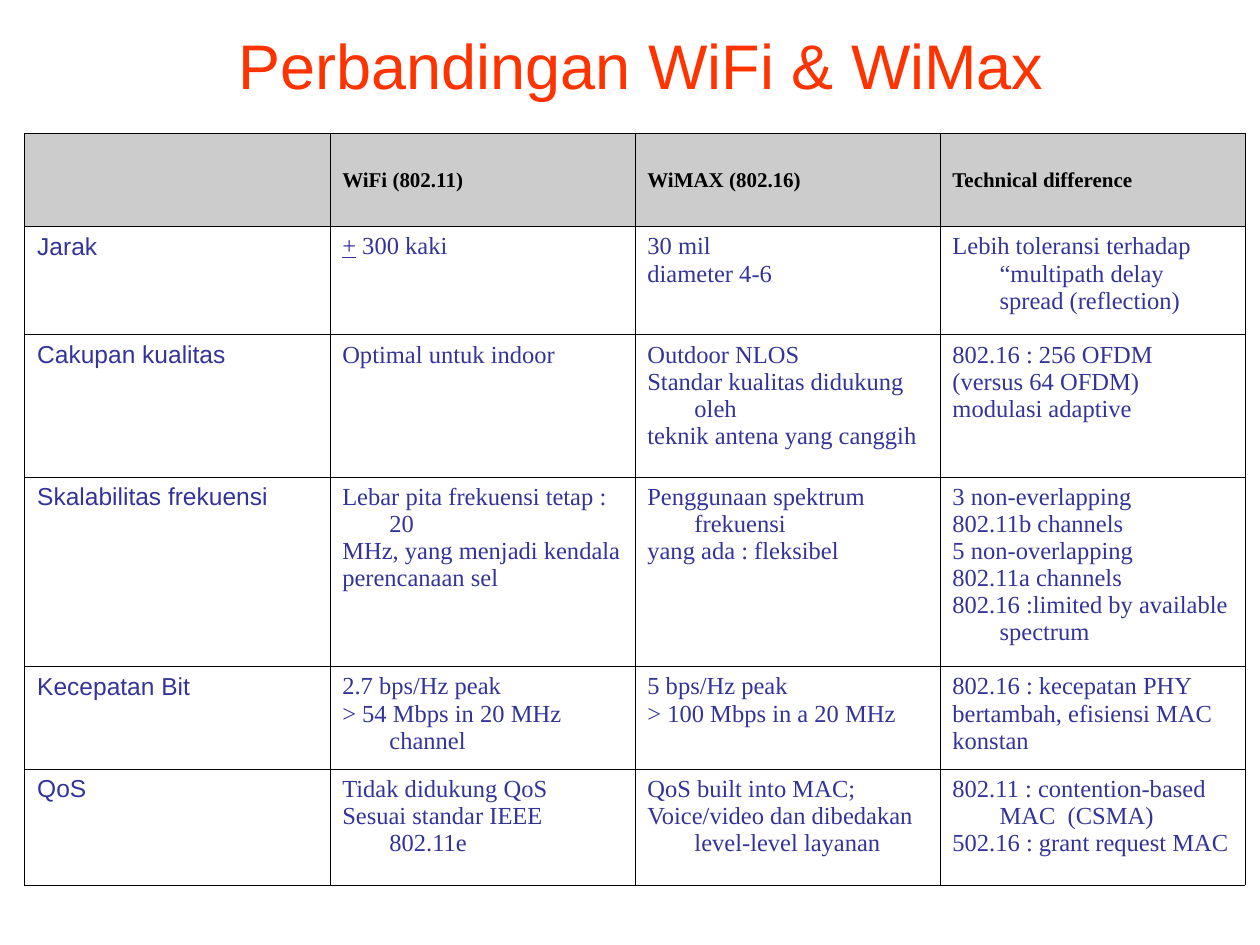
from dataclasses import dataclass

from lxml import etree
from pptx import Presentation
from pptx import util as u
from pptx.dml.color import RGBColor
from pptx.enum import text
from pptx.oxml import ns


@dataclass(frozen=True)
class Theme:
    title_color: RGBColor = RGBColor.from_string("FF3300")
    header_color: RGBColor = RGBColor.from_string("000000")
    header_fill: RGBColor = RGBColor.from_string("CCCCCC")
    body_color: RGBColor = RGBColor.from_string("333399")
    border_color: str = "000000"
    title_size: u.Pt = u.Pt(36)
    header_size: u.Pt = u.Pt(12)
    body_size: u.Pt = u.Pt(14)
    border_width: u.Pt = u.Pt(0.45)
    sans: str = "Arial"
    serif: str = "Times New Roman"


THEME = Theme()
UNDERLINED = "+"
COLUMN_WIDTH = 6.15
ROW_HEIGHTS = [1.88, 2.18, 2.87, 3.82, 2.06, 2.34]
HEADERS = ["", "WiFi (802.11)", "WiMAX (802.16)", "Technical difference"]
# Each cell is a list of paragraphs.
COMPARISON = [
    [["Jarak"],
     ["+ 300 kaki"],
     ["30 mil", "diameter 4-6"],
     ["Lebih toleransi terhadap “multipath delay spread (reflection)"]],
    [["Cakupan kualitas"],
     ["Optimal untuk indoor"],
     ["Outdoor NLOS", "Standar kualitas didukung oleh", "teknik antena yang canggih"],
     ["802.16 : 256 OFDM", "(versus 64 OFDM)", "modulasi adaptive"]],
    [["Skalabilitas frekuensi"],
     ["Lebar pita frekuensi tetap : 20", "MHz, yang menjadi kendala", "perencanaan sel"],
     ["Penggunaan spektrum frekuensi", "yang ada : fleksibel"],
     ["3 non-everlapping", "802.11b channels", "5 non-overlapping", "802.11a channels",
      "802.16 :limited by available spectrum"]],
    [["Kecepatan Bit"],
     ["2.7 bps/Hz peak", "> 54 Mbps in 20 MHz channel"],
     ["5 bps/Hz peak", "> 100 Mbps in a 20 MHz"],
     ["802.16 : kecepatan PHY", "bertambah, efisiensi MAC", "konstan"]],
    [["QoS"],
     ["Tidak didukung QoS", "Sesuai standar IEEE 802.11e"],
     ["QoS built into MAC;", "Voice/video dan dibedakan level-level layanan"],
     ["802.11 : contention-based MAC  (CSMA)", "502.16 : grant request MAC"]],
]


def format_runs(paragraph, font_name, size, color, bold=False):
    for run in paragraph.runs:
        run.font.name = font_name
        run.font.size = size
        run.font.color.rgb = color
        run.font.bold = bold


def add_title(slide, title):
    box = slide.shapes.add_textbox(u.Cm(1.5), u.Cm(0.53), u.Cm(22.86), u.Cm(1.55))
    frame = box.text_frame
    frame.word_wrap = True
    frame.vertical_anchor = text.MSO_ANCHOR.MIDDLE
    frame.text = title
    paragraph = frame.paragraphs[0]
    paragraph.alignment = text.PP_ALIGN.CENTER
    format_runs(paragraph, THEME.sans, THEME.title_size, THEME.title_color)


def set_borders(cell):
    properties = cell._tc.get_or_add_tcPr()
    for position, side in enumerate(("lnL", "lnR", "lnT", "lnB")):
        line = etree.Element(ns.qn(f"a:{side}"), w=str(int(THEME.border_width)))
        fill = etree.SubElement(line, ns.qn("a:solidFill"))
        etree.SubElement(fill, ns.qn("a:srgbClr"), val=THEME.border_color)
        properties.insert(position, line)


def set_hanging_indent(paragraph, indent):
    properties = paragraph._p.get_or_add_pPr()
    properties.set("marL", str(int(indent)))
    properties.set("indent", str(-int(indent)))


def write_line(paragraph, line):
    """Write one line, underlining a leading plus sign (plus or minus)."""
    if line.startswith(UNDERLINED):
        sign = paragraph.add_run()
        sign.text = UNDERLINED
        sign.font.underline = True
        paragraph.add_run().text = line[len(UNDERLINED):]
    else:
        paragraph.text = line


def fill_cell(cell, lines, **font):
    cell.margin_left = cell.margin_right = u.Cm(0.25)
    cell.margin_top = cell.margin_bottom = u.Cm(0.13)
    frame = cell.text_frame
    for index, line in enumerate(lines):
        paragraph = frame.add_paragraph() if index else frame.paragraphs[0]
        set_hanging_indent(paragraph, u.Cm(0.95))
        write_line(paragraph, line)
        format_runs(paragraph, **font)


def add_comparison_table(slide):
    width = COLUMN_WIDTH * len(HEADERS)
    frame = slide.shapes.add_table(len(ROW_HEIGHTS), len(HEADERS), u.Cm(0.5), u.Cm(2.69),
                                   u.Cm(width), u.Cm(sum(ROW_HEIGHTS)))
    table = frame.table
    for column in table.columns:
        column.width = u.Cm(COLUMN_WIDTH)
    for row, height in zip(table.rows, ROW_HEIGHTS):
        row.height = u.Cm(height)

    for column, header in enumerate(HEADERS):
        cell = table.cell(0, column)
        cell.fill.solid()
        cell.fill.fore_color.rgb = THEME.header_fill
        cell.vertical_anchor = text.MSO_ANCHOR.MIDDLE
        fill_cell(cell, [header], font_name=THEME.serif, size=THEME.header_size,
                  color=THEME.header_color, bold=True)

    for row, entries in enumerate(COMPARISON, start=1):
        for column, lines in enumerate(entries):
            cell = table.cell(row, column)
            cell.fill.background()
            fill_cell(cell, lines, font_name=THEME.serif if column else THEME.sans,
                      size=THEME.body_size, color=THEME.body_color)

    for cell in table.iter_cells():
        set_borders(cell)


def main():
    presentation = Presentation()
    presentation.slide_width = u.Cm(25.4)
    presentation.slide_height = u.Cm(19.05)
    slide = presentation.slides.add_slide(presentation.slide_layouts[6])
    add_title(slide, "Perbandingan WiFi & WiMax")
    add_comparison_table(slide)
    presentation.save("out.pptx")


if __name__ == "__main__":
    main()
